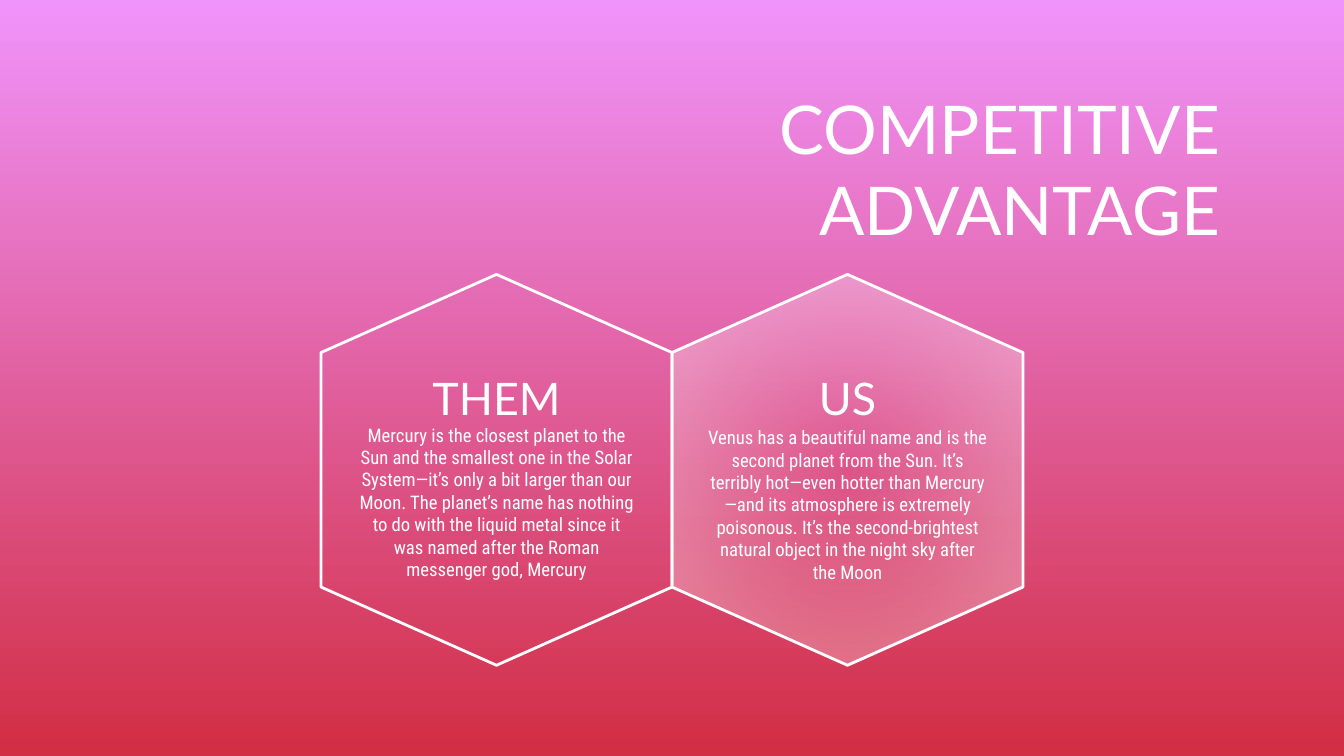
from lxml.etree import SubElement
from pptx import Presentation
from pptx.dml.color import RGBColor
from pptx.enum.shapes import MSO_SHAPE as Preset
from pptx.enum.text import MSO_ANCHOR as Anchor, MSO_AUTO_SIZE as AutoSize, PP_ALIGN as Align
from pptx.oxml.ns import qn
from pptx.util import Pt

TITLE = "COMPETITIVE ADVANTAGE"
SIDES = [
    {"heading": "THEM", "body_top": 219.6, "highlighted": False,
     "body": "Mercury is the closest planet to the Sun and the smallest one in the Solar System—it’s only "
             "a bit larger than our Moon. The planet’s name has nothing to do with the liquid metal "
             "since it was named after the Roman messenger god, Mercury"},
    {"heading": "US", "body_top": 221, "highlighted": True,
     "body": "Venus has a beautiful name and is the second planet from the Sun. It’s terribly hot—even "
             "hotter than Mercury—and its atmosphere is extremely poisonous. It’s the second-brightest "
             "natural object in the night sky after the Moon"},
]


class Theme:
    white = RGBColor.from_string("FFFFFF")
    sky = RGBColor.from_string("F093FB")
    ember = RGBColor.from_string("D22E44")
    display, text = "Lato", "Roboto Condensed"
    title_size, heading_size, body_size = 36, 24, 10
    outline = 1.5
    inset = 7.2
    glow_alpha = (0, 39)


SLIDE_W, SLIDE_H = 720, 405
HEX_LENGTH, HEX_BREADTH, HEX_TOP = 209.4, 188, 157.7
HEADING_W, HEADING_H, HEADING_TOP = 184, 20.9, 213.8
BODY_W, BODY_H = 164.2, 38.2


def write(placeholder, wording, box, font_name, size, align, anchor=Anchor.TOP):
    placeholder.left, placeholder.top, placeholder.width, placeholder.height = map(Pt, box)
    frame = placeholder.text_frame
    frame.text = wording
    frame.word_wrap = True
    frame.auto_size = AutoSize.NONE
    frame.vertical_anchor = anchor
    frame.margin_left = frame.margin_right = Pt(Theme.inset)
    frame.margin_top = frame.margin_bottom = Pt(Theme.inset)
    paragraph = frame.paragraphs[0]
    paragraph.alignment = align
    paragraph.space_before = Pt(0)
    paragraph.line_spacing = 1.0
    font = paragraph.font
    font.name, font.size, font.bold = font_name, Pt(size), False
    font.color.rgb = Theme.white
    properties = paragraph._p.get_or_add_pPr()
    properties.set("marL", "0")
    properties.set("indent", "0")
    bullet_off = properties.makeelement(qn("a:buNone"))
    properties.find(qn("a:defRPr")).addprevious(bullet_off)


def add_glow(hexagon):
    hexagon.fill.gradient()
    for stop, alpha in zip(hexagon.fill.gradient_stops, Theme.glow_alpha):
        stop.color.rgb = Theme.white
    gradient = hexagon._element.spPr.find(qn("a:gradFill"))
    for color, alpha in zip(gradient.iter(qn("a:srgbClr")), Theme.glow_alpha):
        SubElement(color, qn("a:alpha"), val=str(alpha * 1000))
    gradient.remove(gradient.find(qn("a:lin")))
    radial = SubElement(gradient, qn("a:path"), {"path": "circle"})
    SubElement(radial, qn("a:fillToRect"), {edge: "50000" for edge in "ltrb"})


def add_hexagon(slide, center, highlighted, depth):
    hexagon = slide.shapes.add_shape(
        Preset.FLOWCHART_PREPARATION, Pt(center - HEX_LENGTH / 2), Pt(HEX_TOP),
        Pt(HEX_LENGTH), Pt(HEX_BREADTH))
    hexagon.rotation = 90
    hexagon.shadow.inherit = False
    hexagon.line.color.rgb = Theme.white
    hexagon.line.width = Pt(Theme.outline)
    if highlighted:
        add_glow(hexagon)
    else:
        hexagon.fill.background()
    slide.shapes._spTree.insert(2 + depth, hexagon._element)


def main():
    deck = Presentation()
    deck.slide_width, deck.slide_height = Pt(SLIDE_W), Pt(SLIDE_H)
    slide = deck.slides.add_slide(deck.slide_layouts.get_by_name("Comparison"))

    backdrop = slide.background.fill
    backdrop.gradient()
    backdrop.gradient_angle = 270
    for stop, color in zip(backdrop.gradient_stops, (Theme.sky, Theme.ember)):
        stop.color.rgb = color

    write(slide.shapes.title, TITLE, (371.5, 39.6, 289.4, 52.6),
          Theme.display, Theme.title_size, Align.RIGHT)

    slots = {slot.placeholder_format.idx: slot for slot in slide.placeholders}
    for i, side in enumerate(SIDES):
        center = SLIDE_W / 2 + (i - 0.5) * HEX_BREADTH
        add_hexagon(slide, center, side["highlighted"], i)
        write(slots[1 + 2 * i], side["heading"],
              (center - HEADING_W / 2, HEADING_TOP, HEADING_W, HEADING_H),
              Theme.display, Theme.heading_size, Align.CENTER, Anchor.BOTTOM)
        write(slots[2 + 2 * i], side["body"],
              (center - BODY_W / 2, side["body_top"], BODY_W, BODY_H),
              Theme.text, Theme.body_size, Align.CENTER)

    deck.save("out.pptx")


if __name__ == "__main__":
    main()
